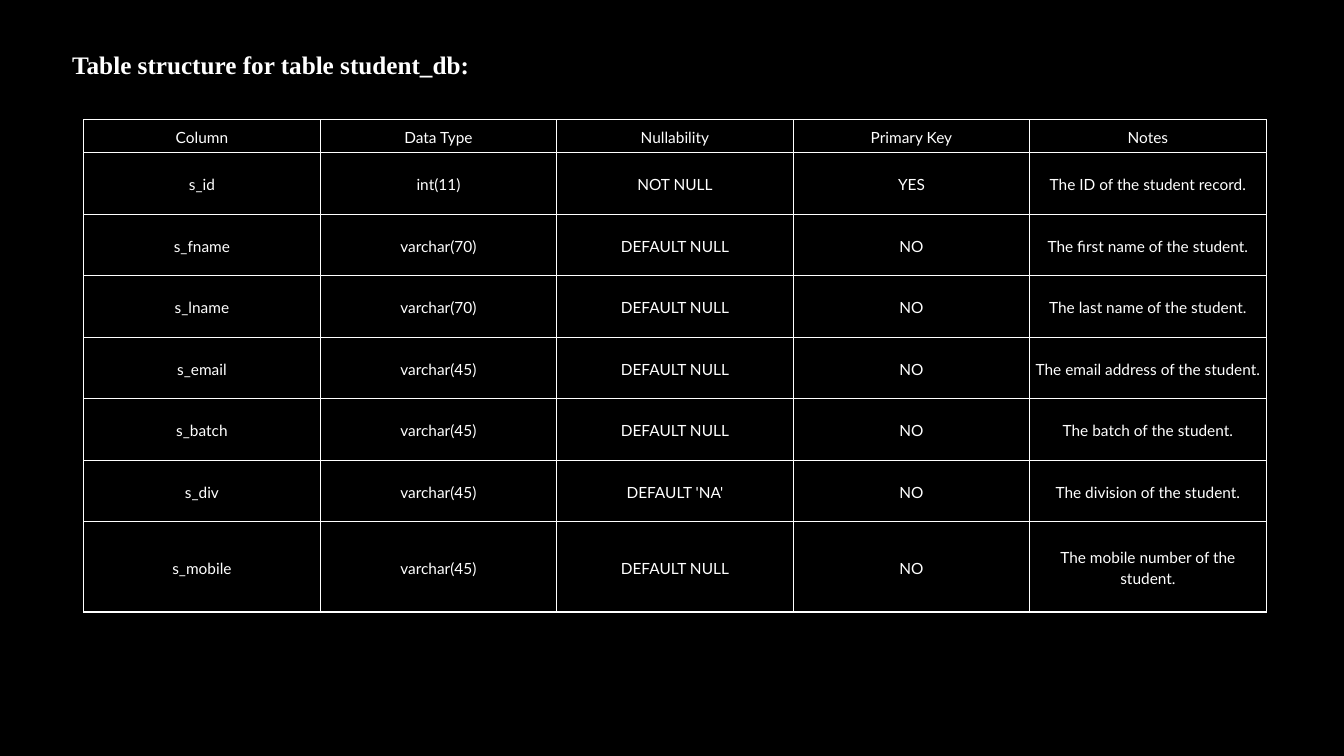
"""Build a slide that lists the columns of the student_db table."""
import lxml.etree
import pptx
import pptx.dml.color
import pptx.enum.text
import pptx.oxml.ns
import pptx.util

Cm = pptx.util.Cm
Pt = pptx.util.Pt

BLACK = pptx.dml.color.RGBColor(0x00, 0x00, 0x00)
WHITE = pptx.dml.color.RGBColor(0xFF, 0xFF, 0xFF)

HEADER = ("Column", "Data Type", "Nullability", "Primary Key", "Notes")
FIELDS = (
    ("s_id", "int(11)", "NOT NULL", "YES", "The ID of the student record."),
    ("s_fname", "varchar(70)", "DEFAULT NULL", "NO", "The first name of the student."),
    ("s_lname", "varchar(70)", "DEFAULT NULL", "NO", "The last name of the student."),
    ("s_email", "varchar(45)", "DEFAULT NULL", "NO", "The email address of the student."),
    ("s_batch", "varchar(45)", "DEFAULT NULL", "NO", "The batch of the student."),
    ("s_div", "varchar(45)", "DEFAULT 'NA'", "NO", "The division of the student."),
    ("s_mobile", "varchar(45)", "DEFAULT NULL", "NO", "The mobile number of the student."),
)
COLUMN_WIDTH = 5.96
ROW_HEIGHTS = (0.83,) + (1.55,) * 6 + (2.27,)


def write_text(frame, text, font="Lato", size=11, color=WHITE, bold=False,
               align=pptx.enum.text.PP_ALIGN.LEFT, spacing=1.0):
    para = frame.paragraphs[0]
    para.alignment = align
    para.line_spacing = spacing
    span = para.add_run()
    span.text = text
    span.font.name = font
    span.font.size = Pt(size)
    span.font.bold = bold
    span.font.color.rgb = color


class SchemaPage:
    def __init__(self, deck, background=BLACK, ink=WHITE, rule=1):
        self.ink = ink
        self.rule = rule
        self.page = deck.slides.add_slide(deck.slide_layouts[6])
        fill = self.page.background.fill
        fill.solid()
        fill.fore_color.rgb = background

    def title(self, text, left, top, width, height):
        box = self.page.shapes.add_textbox(Cm(left), Cm(top), Cm(width), Cm(height))
        box.text_frame.word_wrap = True
        box.text_frame.auto_size = pptx.enum.text.MSO_AUTO_SIZE.SHAPE_TO_FIT_TEXT
        write_text(box.text_frame, text, font="Times New Roman", size=18,
                   color=self.ink, bold=True)

    def table(self, rows, left, top, column_width, row_heights):
        count = len(rows[0])
        frame = self.page.shapes.add_table(
            len(rows), count, Cm(left), Cm(top),
            Cm(column_width * count), Cm(sum(row_heights)))
        table = frame.table
        table.first_row = False
        table.horz_banding = False
        for column in table.columns:
            column.width = Cm(column_width)
        for row, height, texts in zip(table.rows, row_heights, rows):
            row.height = Cm(height)
            for cell, text in zip(row.cells, texts):
                self.cell(cell, text)

    def cell(self, cell, text):
        cell.margin_left = cell.margin_right = Cm(0.08)
        cell.margin_top = cell.margin_bottom = Cm(0.05)
        cell.vertical_anchor = pptx.enum.text.MSO_ANCHOR.MIDDLE
        self.borders(cell)
        cell.fill.background()
        write_text(cell.text_frame, text, color=self.ink, spacing=1.15,
                   align=pptx.enum.text.PP_ALIGN.CENTER)

    def borders(self, cell):
        qn = pptx.oxml.ns.qn
        properties = cell._tc.get_or_add_tcPr()
        for side in ("a:lnL", "a:lnR", "a:lnT", "a:lnB"):
            line = lxml.etree.SubElement(properties, qn(side), w=str(Pt(self.rule)))
            fill = lxml.etree.SubElement(line, qn("a:solidFill"))
            lxml.etree.SubElement(fill, qn("a:srgbClr"), val=str(self.ink))


def main():
    deck = pptx.Presentation()
    deck.slide_width = Cm(33.87)
    deck.slide_height = Cm(19.05)
    schema = SchemaPage(deck)
    schema.title("Table structure for table student_db:", 1.57, 1.12, 18.19, 1.02)
    schema.table((HEADER,) + FIELDS, 2.11, 3.02, COLUMN_WIDTH, ROW_HEIGHTS)
    deck.save("out.pptx")


if __name__ == "__main__":
    main()
